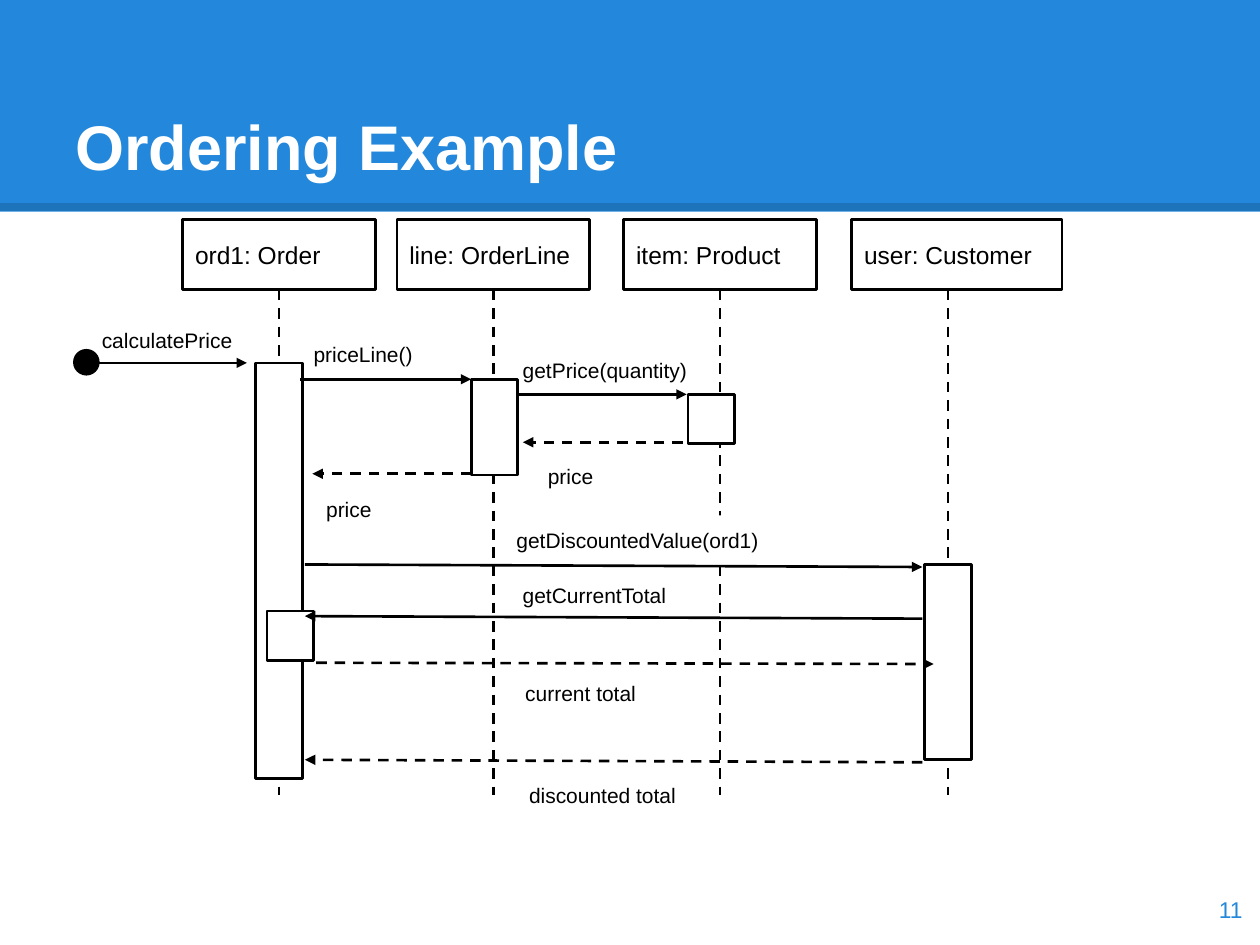
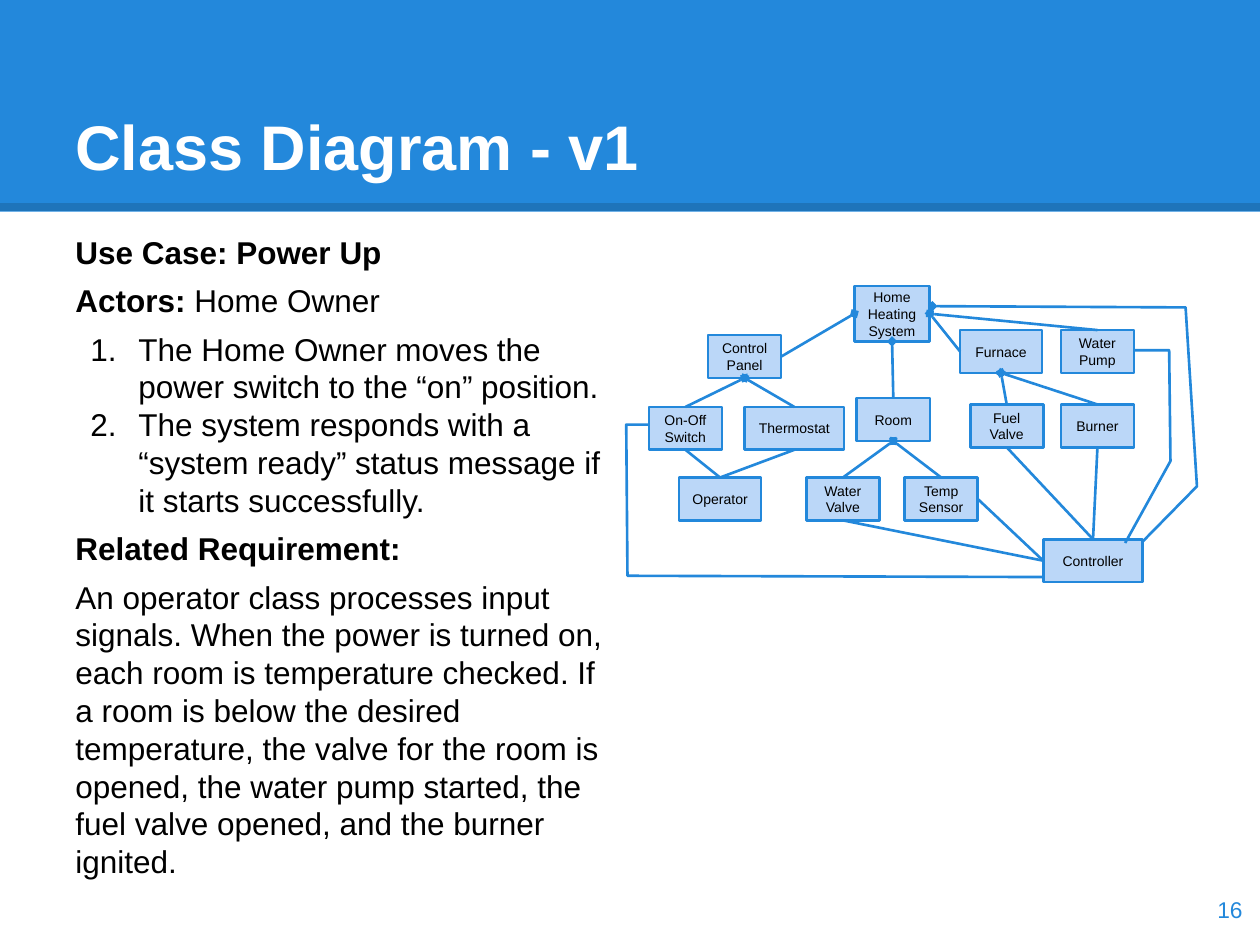
"""Builds a sequence diagram slide and a class diagram slide in one shared style."""
import pptx
import pptx.dml.color
import pptx.enum.dml
import pptx.enum.shapes
import pptx.enum.text
import pptx.oxml
import pptx.oxml.ns
import pptx.util
from pptx.util import Inches, Pt

RGBColor = pptx.dml.color.RGBColor
ALIGN = pptx.enum.text.PP_ALIGN
ANCHOR = pptx.enum.text.MSO_ANCHOR
SHAPE = pptx.enum.shapes.MSO_SHAPE
STRAIGHT = pptx.enum.shapes.MSO_CONNECTOR.STRAIGHT
DASH = pptx.enum.dml.MSO_LINE.DASH

BLUE = RGBColor(0x23, 0x88, 0xDB)
BAND_EDGE = RGBColor(0x1E, 0x74, 0xBA)
PALE_BLUE = RGBColor(0xBB, 0xD7, 0xF8)
BLACK = RGBColor(0, 0, 0)
WHITE = RGBColor(0xFF, 0xFF, 0xFF)
FONT = "Arial"
TOP, LEFT, BOTTOM, RIGHT = range(4)

PARTICIPANT_TOP, PARTICIPANT_HEIGHT = 1.74, 0.56
LIFELINE_OFFSET, LIFELINE_END = 0.765, 6.31
PARTICIPANTS = [
    ("ord1: Order", 1.45, 1.53),
    ("line: OrderLine", 3.15, 1.53),
    ("item: Product", 4.95, 1.53),
    ("user: Customer", 6.76, 1.67),
]
ACTIVATION_WIDTH = 0.37
ACTIVATIONS = [
    (2.03, 2.88, 3.3),
    (3.74, 3.01, 0.76),
    (5.46, 3.13, 0.39),
    (7.34, 4.48, 1.55),
    (2.12, 4.85, 0.39),
]
CALLER = (0.59, 2.78, 0.19, 0.19)
LABEL_HEIGHT = 0.34
# label, (left, top, width), masks lifeline, start, end, is a reply
MESSAGES = [
    ("calculatePrice", (0.71, 2.5, 1.33), False, (0.78, 2.88), (1.96, 2.88), False),
    ("priceLine()", (2.39, 2.61, 1.33), False, (2.38, 3.01), (3.74, 3.01), False),
    ("getPrice(quantity)", (4.05, 2.74, 1.53), False, (4.1, 3.13), (5.45, 3.13), False),
    ("price", (4.25, 3.58, 1.33), False, (5.42, 3.51), (4.15, 3.51), True),
    ("price", (2.49, 3.84, 1.33), False, (3.74, 3.76), (2.48, 3.76), True),
    ("getDiscountedValue(ord1)", (4, 4.09, 2.51), True, (2.42, 4.48), (7.32, 4.5), False),
    ("getCurrentTotal", (4.05, 4.52, 1.48), True, (7.32, 4.91), (2.42, 4.89), False),
    ("current total", (4.07, 5.3, 1.48), True, (2.51, 5.26), (7.41, 5.27), True),
    ("discounted total", (4.1, 6.11, 1.48), True, (7.32, 6.05), (2.42, 6.03), True),
]

USE_CASE = [
    {"runs": [("Use Case: Power Up", True)]},
    {"runs": [("Actors:", True), (" Home Owner", False)], "before": 6},
    {"runs": [("The Home Owner moves the power switch to the “on” position.", False)],
     "before": 6, "numbered": True},
    {"runs": [("The system responds with a “system ready” status message if it starts "
               "successfully.", False)], "numbered": True},
    {"runs": [("Related Requirement:", True)], "before": 6},
    {"runs": [("An operator class processes input signals. When the power is turned on, each "
               "room is temperature checked. If a room is below the desired temperature, the "
               "valve for the room is opened, the water pump started, the fuel valve opened, "
               "and the burner ignited.", False)], "before": 6},
]
CLASSES = {
    "Home Heating System": (6.78, 2.27, 0.6, 0.44),
    "Control Panel": (5.62, 2.66, 0.58, 0.34),
    "On-Off Switch": (5.15, 3.23, 0.58, 0.34),
    "Thermostat": (5.91, 3.23, 0.79, 0.34),
    "Room": (6.8, 3.16, 0.58, 0.34),
    "Operator": (5.39, 3.79, 0.65, 0.34),
    "Furnace": (7.62, 2.62, 0.65, 0.34),
    "Water Pump": (8.42, 2.62, 0.58, 0.34),
    "Burner": (8.42, 3.21, 0.58, 0.34),
    "Fuel Valve": (7.7, 3.21, 0.58, 0.34),
    "Controller": (8.28, 4.28, 0.79, 0.34),
    "Temp Sensor": (7.18, 3.79, 0.58, 0.34),
    "Water Valve": (6.4, 3.79, 0.58, 0.34),
}
AGGREGATIONS = [
    ("Room", TOP, "Home Heating System", BOTTOM),
    ("Water Valve", TOP, "Room", BOTTOM),
    ("Temp Sensor", TOP, "Room", BOTTOM),
    ("Furnace", LEFT, "Home Heating System", RIGHT),
    ("Water Pump", TOP, "Home Heating System", RIGHT),
    ("Fuel Valve", TOP, "Furnace", BOTTOM),
    ("Burner", TOP, "Furnace", BOTTOM),
    ("Control Panel", RIGHT, "Home Heating System", LEFT),
    ("On-Off Switch", TOP, "Control Panel", BOTTOM),
    ("Thermostat", TOP, "Control Panel", BOTTOM),
]
ASSOCIATIONS = [
    ("Controller", LEFT, "Water Valve", BOTTOM),
    ("Controller", LEFT, "Temp Sensor", RIGHT),
    ("Controller", TOP, "Fuel Valve", BOTTOM),
    ("Controller", TOP, "Burner", BOTTOM),
    ("Operator", TOP, "On-Off Switch", BOTTOM),
    ("Operator", TOP, "Thermostat", BOTTOM),
]
SWITCH_ROUTE = [(8.35, 4.58), (4.98, 4.57), (4.97, 3.37), (5.16, 3.37)]
SYSTEM_ROUTE = [(8.93, 4.44), (9.5, 3.86), (9.41, 2.44), (7.4, 2.43)]
PUMP_ROUTE = [(8.93, 4.31), (9.29, 3.66), (9.28, 2.78), (9, 2.78)]


def add_xml(parent, tag, **attributes):
    element = pptx.oxml.parse_xml(f"<a:{tag} {pptx.oxml.ns.nsdecls('a')}/>")
    for key, value in attributes.items():
        element.set(key, value)
    parent.append(element)


def write(shape, content, size, color=BLACK, bold=False, align=ALIGN.LEFT, anchor=ANCHOR.TOP):
    frame = shape.text_frame
    frame.word_wrap = True
    frame.vertical_anchor = anchor
    frame.margin_left = frame.margin_right = Inches(0.1)
    frame.margin_top = frame.margin_bottom = Inches(0.1)
    paragraphs = [{"runs": [(content, bold)]}] if isinstance(content, str) else content
    for index, entry in enumerate(paragraphs):
        paragraph = frame.add_paragraph() if index else frame.paragraphs[0]
        paragraph.alignment = align
        if "before" in entry:
            paragraph.space_before = Pt(entry["before"])
        if entry.get("numbered"):
            properties = paragraph._p.get_or_add_pPr()
            properties.set("marL", str(Inches(0.5)))
            properties.set("indent", str(Inches(-0.38)))
            add_xml(properties, "buFont", typeface=FONT)
            add_xml(properties, "buAutoNum", type="arabicPeriod")
        for words, is_bold in entry["runs"]:
            run = paragraph.add_run()
            run.text = words
            run.font.name, run.font.size = FONT, Pt(size)
            run.font.bold, run.font.color.rgb = is_bold, color


def add_text(slide, bounds, content, size, **style):
    box = slide.shapes.add_textbox(*map(Inches, bounds))
    write(box, content, size, **style)
    return box


def add_box(slide, bounds, fill, outline=None, geometry=SHAPE.RECTANGLE):
    box = slide.shapes.add_shape(geometry, *map(Inches, bounds))
    box.shadow.inherit = False
    box.fill.solid()
    box.fill.fore_color.rgb = fill
    if outline is None:
        box.line.fill.background()
    else:
        style_line(box, outline)
    return box


def style_line(shape, color, width=1.5, dashed=False, tip=None):
    shape.line.color.rgb = color
    shape.line.width = Pt(width)
    if dashed:
        shape.line.dash_style = DASH
    if tip:
        add_xml(shape.line._get_or_add_ln(), "tailEnd", type=tip)


def add_line(slide, start, end, color, **style):
    line = slide.shapes.add_connector(STRAIGHT, *map(Inches, (*start, *end)))
    style_line(line, color, **style)
    add_xml(line._element.spPr, "effectLst")
    return line


def add_route(slide, points, tip=None):
    corners = [tuple(map(Inches, point)) for point in points]
    builder = slide.shapes.build_freeform(*corners[0])
    builder.add_line_segments(corners[1:], close=False)
    route = builder.convert_to_shape()
    route.shadow.inherit = False
    route.fill.background()
    style_line(route, BLUE, tip=tip)


def add_slide(deck, title, number):
    slide = deck.slides.add_slide(deck.slide_layouts[6])
    add_box(slide, (0, 0, 10, 1.68), BLUE)
    add_line(slide, (0, 1.64), (10, 1.64), BAND_EDGE, width=4.5)
    add_text(slide, (0.5, 0.3, 9, 1.25), title, 36, color=WHITE, bold=True,
             anchor=ANCHOR.BOTTOM)
    add_text(slide, (9.36, 6.93, 0.6, 0.57), number, 13, color=BLUE, align=ALIGN.RIGHT,
             anchor=ANCHOR.MIDDLE)
    return slide


def build_sequence(slide):
    for name, left, width in PARTICIPANTS:
        participant = add_box(slide, (left, PARTICIPANT_TOP, width, PARTICIPANT_HEIGHT),
                              WHITE, BLACK)
        write(participant, name, 14, anchor=ANCHOR.MIDDLE)
        x = left + LIFELINE_OFFSET
        lifeline = add_line(slide, (x, PARTICIPANT_TOP + PARTICIPANT_HEIGHT),
                            (x, LIFELINE_END), BLACK, dashed=True)
        if width == 2 * LIFELINE_OFFSET:
            lifeline.begin_connect(participant, BOTTOM)
    for left, top, height in ACTIVATIONS:
        add_box(slide, (left, top, ACTIVATION_WIDTH, height), WHITE, BLACK)
    add_box(slide, CALLER, BLACK, BLACK, SHAPE.OVAL)
    for label, place, masks, start, end, is_reply in MESSAGES:
        caption = add_text(slide, (*place, LABEL_HEIGHT), label, 12)
        if masks:
            caption.fill.solid()
            caption.fill.fore_color.rgb = WHITE
        add_line(slide, start, end, BLACK, dashed=is_reply, tip="triangle")


def build_classes(slide):
    add_route(slide, SWITCH_ROUTE)
    add_text(slide, (0.5, 1.75, 4.47, 5.43), USE_CASE, 18)
    add_route(slide, SYSTEM_ROUTE, tip="diamond")
    boxes = {}
    for name, bounds in CLASSES.items():
        boxes[name] = add_box(slide, bounds, PALE_BLUE, BLUE)
        write(boxes[name], name, 8, align=ALIGN.CENTER, anchor=ANCHOR.MIDDLE)
    for relations, tip in ((AGGREGATIONS, "diamond"), (ASSOCIATIONS, None)):
        for source, source_side, target, target_side in relations:
            relation = add_line(slide, (0, 0), (1, 1), BLUE, tip=tip)
            relation.begin_connect(boxes[source], source_side)
            relation.end_connect(boxes[target], target_side)
    add_route(slide, PUMP_ROUTE)


def main():
    deck = pptx.Presentation()
    deck.slide_width, deck.slide_height = Inches(10), Inches(7.5)
    build_sequence(add_slide(deck, "Ordering Example", "11"))
    build_classes(add_slide(deck, "Class Diagram - v1", "16"))
    deck.save("out.pptx")


if __name__ == "__main__":
    main()
